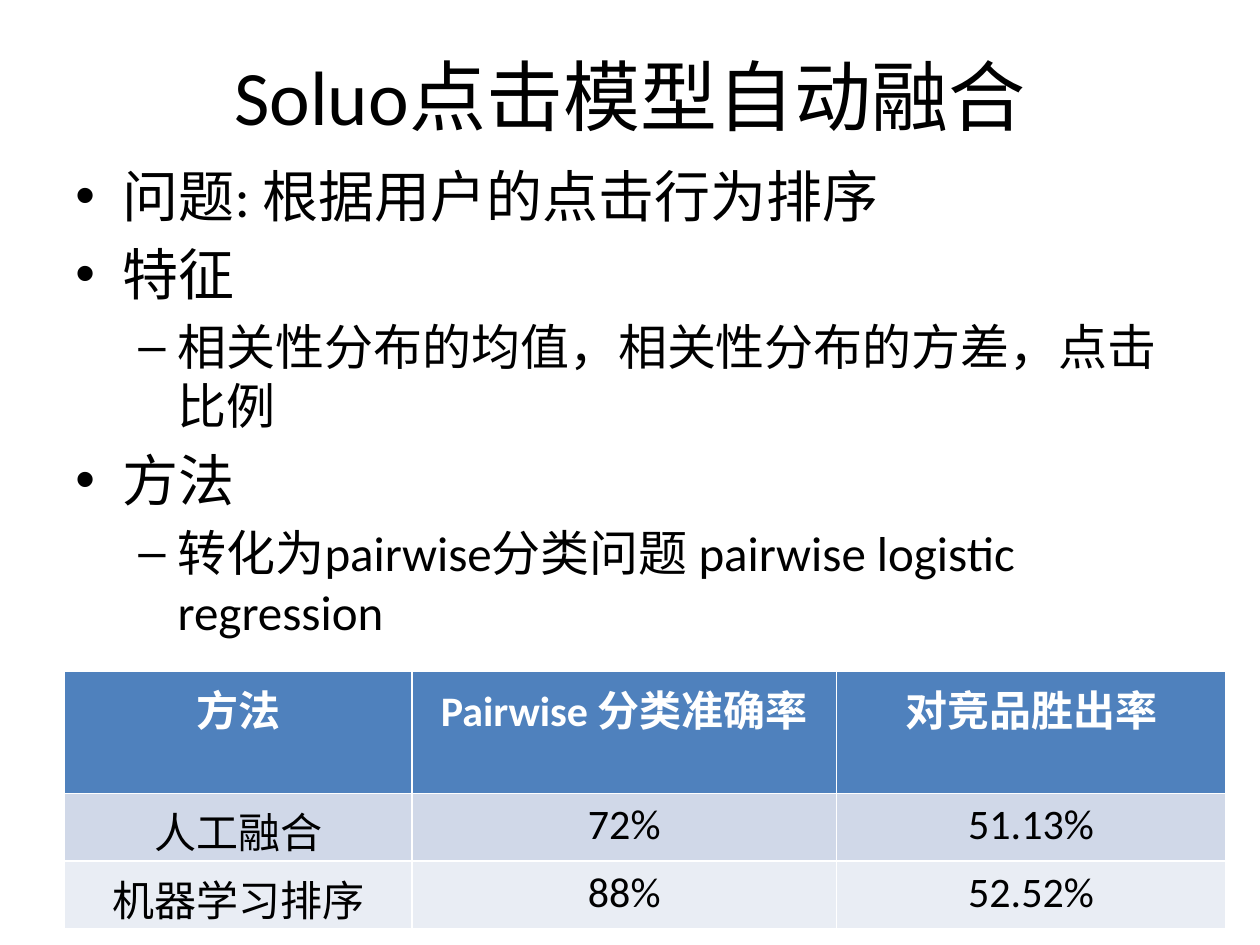
from dataclasses import dataclass

from lxml.etree import SubElement
from pptx import Presentation
from pptx.dml.color import RGBColor
from pptx.enum.text import MSO_ANCHOR as Anchor, PP_ALIGN as Align
from pptx.oxml.ns import qn
from pptx.slide import Slide
from pptx.util import Pt


@dataclass(frozen=True)
class Theme:
    font: str = "Calibri"
    ink: str = "000000"
    header_ink: str = "FFFFFF"
    header_fill: str = "4F81BD"
    band_fills: tuple = ("D0D8E8", "E9EDF4")
    title_size: float = 44
    level_sizes: tuple = (32, 28)
    table_size: float = 24


@dataclass(frozen=True)
class Frame:
    left: float
    top: float
    width: float
    height: float

    def lengths(self) -> tuple:
        return Pt(self.left), Pt(self.top), Pt(self.width), Pt(self.height)


@dataclass(frozen=True)
class BulletStyle:
    mark: str
    indent: float
    hanging: float


@dataclass(frozen=True)
class Bullet:
    text: str
    level: int = 0


THEME = Theme()
TITLE_FRAME = Frame(36, 9.36, 648, 90)
BODY_FRAME = Frame(36, 88.56, 648, 442)
TABLE_FRAME = Frame(37, 383.8, 663.5, 147)
COLUMN_WIDTHS = (198.5, 242.5, 222.5)
ROW_HEIGHTS = (69.5, 38.75, 38.75)

BULLET_STYLES = (BulletStyle("•", 27, 27), BulletStyle("–", 58.5, 22.5))
BULLETS = (
    Bullet("问题: 根据用户的点击行为排序"),
    Bullet("特征"),
    Bullet("相关性分布的均值，相关性分布的方差，点击比例", 1),
    Bullet("方法"),
    Bullet("转化为pairwise分类问题 pairwise logistic regression", 1),
)
RESULTS = (
    ("方法", "Pairwise 分类准确率", "对竞品胜出率"),
    ("人工融合", "72%", "51.13%"),
    ("机器学习排序", "88%", "52.52%"),
)


def add_span(para, text: str, size: float, color: str = THEME.ink, bold: bool = False) -> None:
    span = para.add_run()
    span.text = text
    span.font.name = THEME.font
    span.font.size = Pt(size)
    span.font.bold = bold
    span.font.color.rgb = RGBColor.from_string(color)


def set_bullet(para, style: BulletStyle) -> None:
    properties = para._p.get_or_add_pPr()
    properties.set("marL", str(Pt(style.indent)))
    properties.set("indent", str(-Pt(style.hanging)))
    SubElement(properties, qn("a:buFont"), typeface="Arial")
    SubElement(properties, qn("a:buChar"), char=style.mark)


def draw_title(page: Slide, text: str) -> None:
    title = page.shapes.title
    title.left, title.top, title.width, title.height = TITLE_FRAME.lengths()
    title.text_frame.vertical_anchor = Anchor.MIDDLE
    para = title.text_frame.paragraphs[0]
    para.alignment = Align.CENTER
    add_span(para, text, THEME.title_size)


def draw_bullets(page: Slide, bullets: tuple[Bullet, ...]) -> None:
    frame = page.shapes.add_textbox(*BODY_FRAME.lengths()).text_frame
    frame.word_wrap = True
    for index, bullet in enumerate(bullets):
        para = frame.add_paragraph() if index else frame.paragraphs[0]
        size = THEME.level_sizes[bullet.level]
        para.level = bullet.level
        para.space_before = Pt(size * 0.2)
        set_bullet(para, BULLET_STYLES[bullet.level])
        add_span(para, bullet.text, size)


def draw_results(page: Slide, rows: tuple[tuple[str, ...], ...]) -> None:
    table = page.shapes.add_table(len(rows), len(rows[0]), *TABLE_FRAME.lengths()).table
    for column, width in zip(table.columns, COLUMN_WIDTHS):
        column.width = Pt(width)
    for row, height in zip(table.rows, ROW_HEIGHTS):
        row.height = Pt(height)
    fills = (THEME.header_fill, *THEME.band_fills)
    for row_index, (texts, fill) in enumerate(zip(rows, fills)):
        is_header = row_index == 0
        ink = THEME.header_ink if is_header else THEME.ink
        for column_index, text in enumerate(texts):
            cell = table.cell(row_index, column_index)
            cell.fill.solid()
            cell.fill.fore_color.rgb = RGBColor.from_string(fill)
            para = cell.text_frame.paragraphs[0]
            para.alignment = Align.CENTER
            add_span(para, text, THEME.table_size, ink, is_header)


def main() -> None:
    deck = Presentation()
    deck.slide_width, deck.slide_height = Pt(720), Pt(540)
    page = deck.slides.add_slide(deck.slide_layouts.get_by_name("Title Only"))
    draw_title(page, "Soluo点击模型自动融合")
    draw_bullets(page, BULLETS)
    draw_results(page, RESULTS)
    deck.save("out.pptx")


if __name__ == "__main__":
    main()
